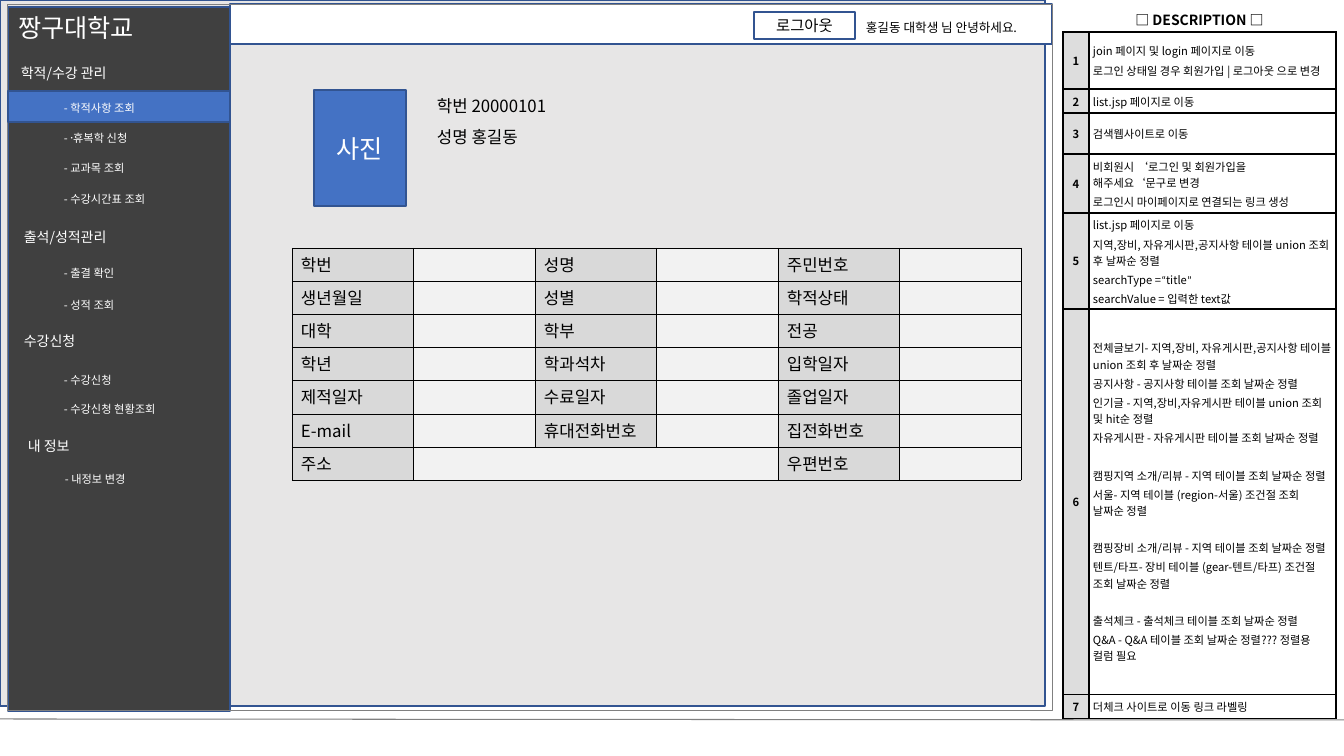
"""Build the wireframe slide of a student record page with its description table."""
from itertools import groupby

from lxml.etree import SubElement
from pptx import Presentation
from pptx.dml.color import RGBColor
from pptx.enum.shapes import MSO_CONNECTOR, MSO_SHAPE
from pptx.enum.text import MSO_ANCHOR as Anchor, MSO_AUTO_SIZE as AutoSize, PP_ALIGN as Align
from pptx.oxml.ns import qn
from pptx.util import Pt

PX = 12192000 / 1344
FONT = "Noto Sans CJK KR"
QUOTE_FONT = "Calibri"
BLACK = RGBColor(0x00, 0x00, 0x00)
WHITE = RGBColor(0xFF, 0xFF, 0xFF)
PAGE_GRAY = RGBColor(0xE7, 0xE6, 0xE6)
SIDEBAR_GRAY = RGBColor(0x40, 0x40, 0x40)
FRAME_GRAY = RGBColor(0x80, 0x80, 0x80)
NUMBER_GRAY = RGBColor(0xDD, 0xDD, 0xDD)
LABEL_GRAY = RGBColor(0xD9, 0xD9, 0xD9)
VALUE_GRAY = RGBColor(0xF2, 0xF2, 0xF2)
BLUE = RGBColor(0x44, 0x72, 0xC4)
BORDER_BLUE = RGBColor(0x32, 0x54, 0x91)


def px(*lengths):
    """Turn pixel lengths into EMU."""
    return [round(length * PX) for length in lengths]


def write(paragraph, text, size, color=BLACK, align=Align.LEFT, bold=False):
    """Write one paragraph, with curly quotes in their own font."""
    paragraph.alignment = align
    font = paragraph.font
    font.size, font.bold, font.name = Pt(size), bold, FONT
    font.color.rgb = color
    SubElement(font._element, qn("a:ea"), typeface=FONT)
    for quoted, letters in groupby(text, lambda letter: letter in "‘“”"):
        run = paragraph.add_run()
        run.text = "".join(letters)
        if quoted:
            run.font.name = QUOTE_FONT
    if not text:
        SubElement(paragraph._p, qn("a:endParaRPr"), sz=str(size * 100))


presentation = Presentation()
presentation.slide_width, presentation.slide_height = px(1344, 756)
slide = presentation.slides.add_slide(presentation.slide_layouts[5])
shapes = slide.shapes

rectangles = [
    (0, 0, 1045, 706, PAGE_GRAY, BORDER_BLUE, 1, "", 11, BLACK),
    (8, 7, 222, 704, SIDEBAR_GRAY, BORDER_BLUE, 1, "", 11, BLACK),
    (230, 4, 822, 40, WHITE, BORDER_BLUE, 1, "", 11, BLACK),
    (8, 5, 1045, 706, None, FRAME_GRAY, 0.75, "", 11, BLACK),
    (754, 12, 101, 27, WHITE, BORDER_BLUE, 1, "로그아웃", 11, BLACK),
    (8, 91, 222, 31, BLUE, BORDER_BLUE, 1, "", 11, BLACK),
    (314, 90, 92, 116, BLUE, BORDER_BLUE, 1, "사진", 18, WHITE),
]
for left, top, width, height, fill, line, weight, label, size, color in rectangles:
    shape = shapes.add_shape(MSO_SHAPE.RECTANGLE, *px(left, top, width, height))
    shape.shadow.inherit = False
    if fill is None:
        shape.fill.background()
    else:
        shape.fill.solid()
        shape.fill.fore_color.rgb = fill
    shape.line.color.rgb = line
    shape.line.width = Pt(weight)
    if label:
        shape.text_frame.vertical_anchor = Anchor.MIDDLE
        write(shape.text_frame.paragraphs[0], label, size, color, Align.CENTER)

footer_line = shapes.add_connector(MSO_CONNECTOR.STRAIGHT, *px(0, 719, 1344, 720))
footer_line.line.color.rgb = FRAME_GRAY
footer_line.line.width = Pt(0.75)
SubElement(footer_line._element.spPr, qn("a:effectLst"))

title = shapes.title
shapes._spTree.append(title._element)
title.left, title.top, title.width, title.height = px(8, 7, 147, 40)
title.text_frame.vertical_anchor = Anchor.TOP
title.text_frame.auto_size = AutoSize.NONE
title.text_frame.word_wrap = False
write(title.text_frame.paragraphs[0], "짱구대학교", 18, WHITE)

texts = [
    (11, 60, 304, 27, "학적/수강 관리", 10, WHITE),
    (54, 96, 101, 24, "- 학적사항 조회", 8, WHITE),
    (54, 126, 97, 24, "- 휴〮복학 신청", 8, WHITE),
    (54, 156, 90, 24, "- 교과목 조회", 8, WHITE),
    (54, 187, 112, 24, "- 수강시간표 조회", 8, WHITE),
    (14, 224, 304, 27, "출석/성적관리", 10, WHITE),
    (54, 261, 79, 24, "- 출결 확인", 8, WHITE),
    (54, 293, 79, 24, "- 성적 조회", 8, WHITE),
    (14, 328, 304, 27, "수강신청", 10, WHITE),
    (54, 368, 79, 24, "- 수강신청", 8, WHITE),
    (54, 397, 124, 24, "- 수강신청 현황조회", 8, WHITE),
    (18, 433, 304, 27, "내 정보", 10, WHITE),
    (55, 467, 90, 24, "- 내정보 변경", 8, WHITE),
    (856, 15, 190, 25, "홍길동 대학생 님 안녕하세요.", 9, BLACK),
    (427, 91, 135, 30, "학번 20000101", 12, BLACK),
    (427, 122, 111, 30, "성명 홍길동", 12, BLACK),
]
for left, top, width, height, text, size, color in texts:
    frame = shapes.add_textbox(*px(left, top, width, height)).text_frame
    frame.word_wrap = False
    write(frame.paragraphs[0], text, size, color)

descriptions = [
    (57, ["join 페이지 및 login 페이지로 이동", "로그인 상태일 경우 회원가입 | 로그아웃 으로 변경"]),
    (24, ["list.jsp 페이지로 이동"]),
    (41, ["검색웹사이트로 이동"]),
    (59, ["비회원시 ‘로그인 및 회원가입을 해주세요‘문구로 변경",
          "로그인시 마이페이지로 연결되는 링크 생성"]),
    (96, ["list.jsp 페이지로 이동",
          "지역,장비, 자유게시판,공지사항 테이블 union 조회 후 날짜순 정렬",
          "searchType =“title”", "searchValue = 입력한 text값"]),
    (386, ["전체글보기- 지역,장비, 자유게시판,공지사항 테이블 union 조회 후 날짜순 정렬",
           "공지사항 - 공지사항 테이블 조회 날짜순 정렬",
           "인기글 - 지역,장비,자유게시판 테이블 union 조회 및 hit순 정렬",
           "자유게시판 - 자유게시판 테이블 조회 날짜순 정렬",
           "캠핑지역 소개/리뷰 - 지역 테이블 조회 날짜순 정렬",
           "서울- 지역 테이블 (region-서울) 조건절 조회 날짜순 정렬",
           "캠핑장비 소개/리뷰 - 지역 테이블 조회 날짜순 정렬",
           "텐트/타프- 장비 테이블 (gear-텐트/타프) 조건절 조회 날짜순 정렬",
           "출석체크 - 출석체크 테이블 조회 날짜순 정렬",
           "Q&A - Q&A 테이블 조회 날짜순 정렬??? 정렬용 컬럼 필요"]),
    (24, ["더체크 사이트로 이동 링크 라벨링"]),
]
GROUP_STARTS = ("캠핑지역", "캠핑장비", "출석체크")
description_table = shapes.add_table(8, 2, *px(1063, 5, 273, 714)).table
description_table.columns[0].width, description_table.columns[1].width = px(26, 247)
description_table.rows[0].height = px(27)[0]
header = description_table.cell(0, 0)
header.merge(description_table.cell(0, 1))
write(header.text_frame.paragraphs[0], "□ DESCRIPTION □", 10, BLACK, Align.CENTER, True)
for number, (height, lines) in enumerate(descriptions, 1):
    description_table.rows[number].height = px(height)[0]
    number_cell, text_cell = description_table.cell(number, 0), description_table.cell(number, 1)
    write(number_cell.text_frame.paragraphs[0], str(number), 8, BLACK, Align.CENTER, True)
    for index, text in enumerate(lines):
        frame = text_cell.text_frame
        paragraph = frame.add_paragraph() if index else frame.paragraphs[0]
        paragraph.space_before = Pt(15 if text.startswith(GROUP_STARTS) else 2)
        write(paragraph, text, 8)

student_labels = [
    ("학번", "성명", "주민번호"),
    ("생년월일", "성별", "학적상태"),
    ("대학", "학부", "전공"),
    ("학년", "학과석차", "입학일자"),
    ("제적일자", "수료일자", "졸업일자"),
    ("E-mail", "휴대전화번호", "집전화번호"),
    ("주소", "", "우편번호"),
]
student_table = shapes.add_table(7, 6, *px(292, 248, 729, 232)).table
for row, labels in enumerate(student_labels):
    for column in range(6):
        text = "" if column % 2 else labels[column // 2]
        write(student_table.cell(row, column).text_frame.paragraphs[0], text, 12)
student_table.cell(6, 1).merge(student_table.cell(6, 3))

for table, weight in ((description_table, 1), (student_table, 0.25)):
    table.first_row = table.horz_banding = False
    is_description = table is description_table
    for row in range(len(table.rows)):
        for column in range(len(table.columns)):
            cell = table.cell(row, column)
            is_header = is_description and row == 0
            properties = cell._tc.get_or_add_tcPr()
            for side in ("lnB",) if is_header else ("lnL", "lnR", "lnT", "lnB"):
                border = SubElement(properties, qn(f"a:{side}"), w=str(Pt(weight)))
                SubElement(SubElement(border, qn("a:solidFill")), qn("a:srgbClr"), val=str(BLACK))
            cell.fill.solid()
            if is_description:
                cell.vertical_anchor = Anchor.MIDDLE
                cell.margin_left = cell.margin_right = cell.margin_top = cell.margin_bottom = px(4)[0]
                cell.fill.fore_color.rgb = WHITE if is_header or column else NUMBER_GRAY
            else:
                cell.margin_left = cell.margin_right = px(9)[0]
                cell.margin_top = cell.margin_bottom = px(4)[0]
                is_value = column % 2 or (row == 6 and column == 2)
                cell.fill.fore_color.rgb = VALUE_GRAY if is_value else LABEL_GRAY

presentation.save("out.pptx")
